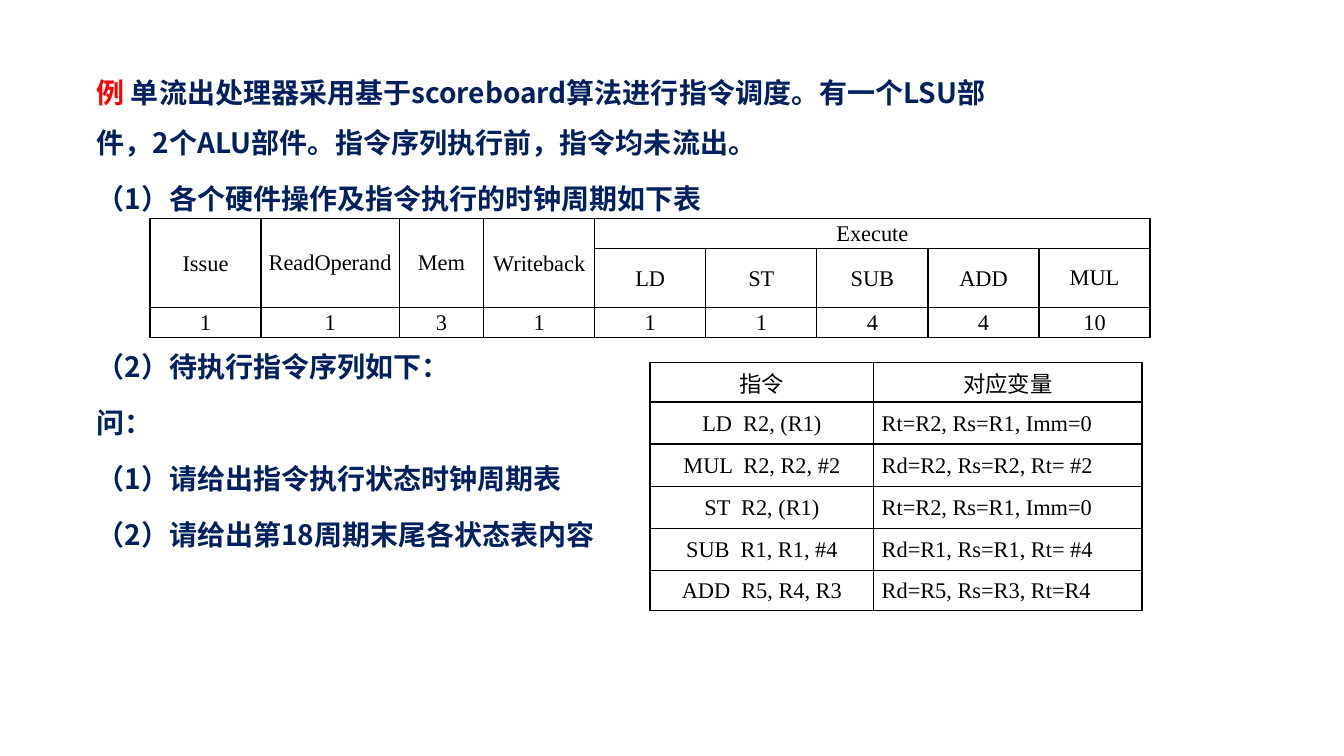
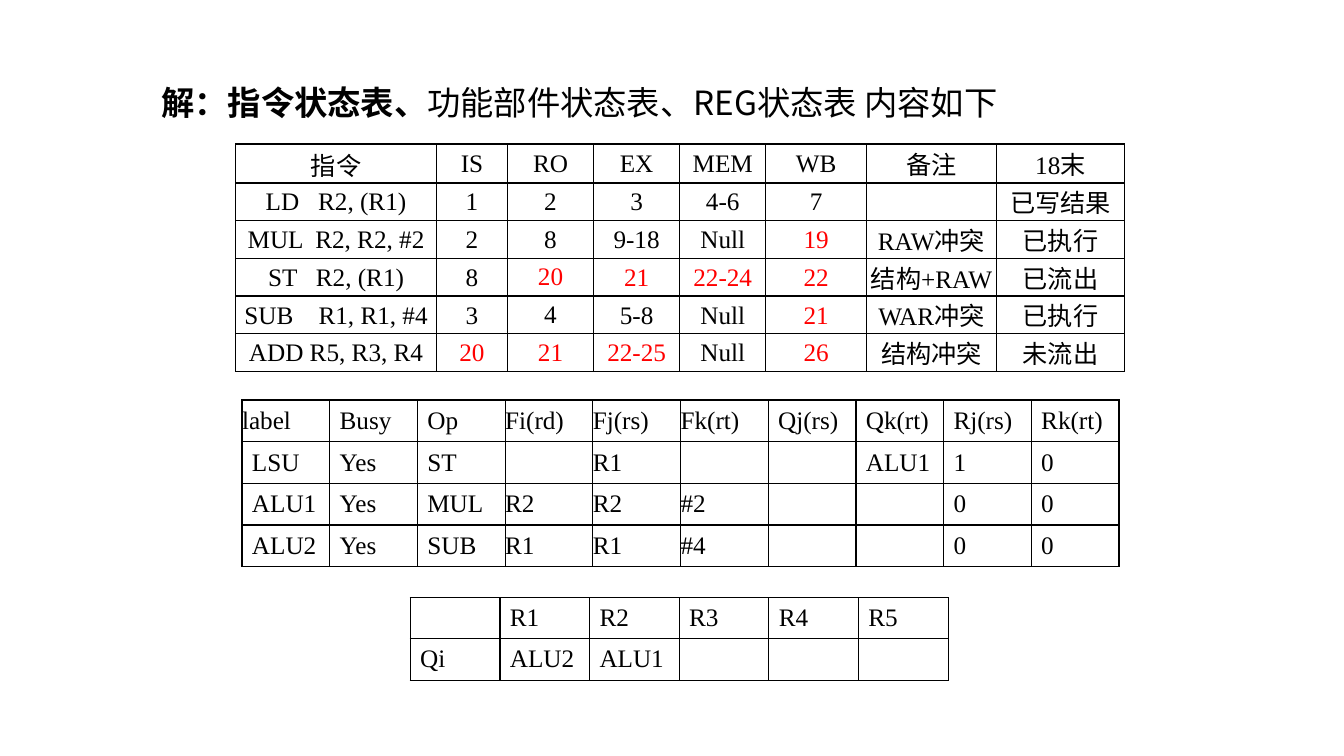
from dataclasses import dataclass

from lxml import etree
from pptx import Presentation
from pptx import util as u
from pptx.dml.color import RGBColor
from pptx.enum import text
from pptx.oxml import ns

# Shared style
CJK_FONT, TABLE_FONT = "Noto Sans CJK SC", "Times New Roman"
BLACK, WHITE, RED, NAVY = "000000", "FFFFFF", "FF0000", "002060"
TIGHT, ROOMY, FLUSH = (0.2, 0.03, 0.2, 0), (0.25, 0.13, 0.25, 0.13), (0, 0, 0, 0)
LAST_CYCLE = 18


@dataclass
class Grid:
    """A ruled table; lengths are centimetres."""
    left: float
    top: float
    columns: list[float]
    rows: list[float]
    cells: list[list[str]]
    size: float = 18
    insets: tuple = TIGHT
    flush_columns: tuple = ()
    flush_cells: tuple = ()
    justified_from: tuple | None = None  # first row and column set justified
    merges: tuple = ()  # (top row, left column, bottom row, right column)
    fill: str | None = None
    mark_late: bool = False  # cycles after LAST_CYCLE in red


def color(value: str) -> RGBColor:
    return RGBColor.from_string(value)


def style_run(run, size: float, fill: str, font: str, bold: bool = False) -> None:
    run.font.size, run.font.bold, run.font.name = u.Pt(size), bold, font
    run.font.color.rgb = color(fill)
    properties = run.font._element
    east_asian = etree.Element(ns.qn("a:ea"), typeface=CJK_FONT)
    properties.find(ns.qn("a:latin")).addnext(east_asian)


def place(shape, left: float, top: float, width: float, height: float) -> None:
    shape.left, shape.top = u.Cm(left), u.Cm(top)
    shape.width, shape.height = u.Cm(width), u.Cm(height)
    frame = shape.text_frame
    frame.word_wrap, frame.auto_size = True, text.MSO_AUTO_SIZE.NONE


def add_borders(cell) -> None:
    properties = cell._tc.get_or_add_tcPr()
    for index, side in enumerate(("lnL", "lnR", "lnT", "lnB")):
        line = etree.Element(ns.qn(f"a:{side}"), w=str(u.Pt(1)))
        fill = etree.SubElement(line, ns.qn("a:solidFill"))
        etree.SubElement(fill, ns.qn("a:srgbClr"), val=BLACK)
        properties.insert(index, line)


def is_late(value: str) -> bool:
    start = value.split("-")[0]
    return start.isdigit() and int(start) > LAST_CYCLE


def fill_cell(cell, grid: Grid, row: int, column: int) -> None:
    value = grid.cells[row][column]
    flush = not value or column in grid.flush_columns or (row, column) in grid.flush_cells
    insets = FLUSH if flush else grid.insets
    cell.margin_left, cell.margin_top, cell.margin_right, cell.margin_bottom = map(u.Cm, insets)
    cell.vertical_anchor = text.MSO_ANCHOR.MIDDLE
    if grid.fill:
        cell.fill.solid()
        cell.fill.fore_color.rgb = color(grid.fill)
    else:
        cell.fill.background()
    add_borders(cell)
    if not value:
        return
    cell.text_frame.text = value
    paragraph = cell.text_frame.paragraphs[0]
    start = grid.justified_from
    justified = start and row >= start[0] and column >= start[1]
    paragraph.alignment = text.PP_ALIGN.JUSTIFY if justified else text.PP_ALIGN.CENTER
    late = grid.mark_late and is_late(value)
    style_run(paragraph.runs[0], grid.size, RED if late else BLACK, TABLE_FONT)


def add_grid(slide, grid: Grid) -> None:
    shape = slide.shapes.add_table(
        len(grid.rows), len(grid.columns), u.Cm(grid.left), u.Cm(grid.top),
        u.Cm(sum(grid.columns)), u.Cm(sum(grid.rows)))
    table = shape.table
    table.first_row = table.horz_banding = False
    for column, width in zip(table.columns, grid.columns):
        column.width = u.Cm(width)
    for row, height in zip(table.rows, grid.rows):
        row.height = u.Cm(height)
    for row in range(len(grid.rows)):
        for column in range(len(grid.columns)):
            fill_cell(table.cell(row, column), grid, row, column)
    for top, left, bottom, right in grid.merges:
        table.cell(top, left).merge(table.cell(bottom, right))


# Problem slide
QUESTION_LEAD = "例 "
QUESTION = [
    "单流出处理器采用基于scoreboard算法进行指令调度。有一个LSU部件，2个ALU部件。指令序列执行前，指令均未流出。",
    "（1）各个硬件操作及指令执行的时钟周期如下表",
    "（2）待执行指令序列如下：",
    "问：",
    "（1）请给出指令执行状态时钟周期表",
    "（2）请给出第18周期末尾各状态表内容",
]
AFTER_TABLE = 2  # paragraph that follows the latency table

LATENCIES = Grid(
    3.78, 5.51, [2.8, 3.48, 2.13] + [2.8] * 6, [0.76, 1.48, 0.76],
    [["Issue", "ReadOperand", "Mem", "Writeback", "Execute", "", "", "", ""],
     ["", "", "", "", "LD", "ST", "SUB", "ADD", "MUL"],
     ["1", "1", "3", "1", "1", "1", "4", "4", "10"]],
    size=16, flush_columns=(1, 2, 8),
    merges=tuple((0, column, 1, column) for column in range(4)) + ((0, 4, 0, 8),))

INSTRUCTIONS = Grid(
    16.38, 9.14, [5.64, 6.76], [0.99] + [1.06] * 4 + [1.02],
    [["指令", "对应变量"],
     ["LD  R2, (R1)", "Rt=R2, Rs=R1, Imm=0"],
     ["MUL  R2, R2, #2", "Rd=R2, Rs=R2, Rt= #2"],
     ["ST  R2, (R1)", "Rt=R2, Rs=R1, Imm=0"],
     ["SUB  R1, R1, #4", "Rd=R1, Rs=R1, Rt= #4"],
     ["ADD  R5, R4, R3", "Rd=R5, Rs=R3, Rt=R4"]],
    size=16, justified_from=(1, 1))

# Solution slide
HEADING = ("解：指令状态表、", "功能部件状态表、REG状态表 内容如下")

INSTRUCTION_STATUS = Grid(
    5.94, 3.63, [5.06, 1.79, 2.17, 2.17, 2.17, 2.54, 3.27, 3.23], [0.98] + [0.95] * 5,
    [["指令", "IS", "RO", "EX", "MEM", "WB", "备注", "18末"],
     ["LD   R2, (R1)", "1", "2", "3", "4-6", "7", "", "已写结果"],
     ["MUL  R2, R2, #2", "2", "8", "9-18", "Null", "19", "RAW冲突", "已执行"],
     ["ST   R2, (R1)", "8", "20", "21", "22-24", "22", "结构+RAW", "已流出"],
     ["SUB    R1, R1, #4", "3", "4", "5-8", "Null", "21", "WAR冲突", "已执行"],
     ["ADD R5, R3, R4", "20", "21", "22-25", "Null", "26", "结构冲突", "未流出"]],
    flush_columns=(2, 6, 7), fill=WHITE, mark_late=True)

UNIT_STATUS = Grid(
    6.1, 10.08, [2.21] * 10, [1.05] * 4,
    [["label", "Busy", "Op", "Fi(rd)", "Fj(rs)", "Fk(rt)", "Qj(rs)", "Qk(rt)", "Rj(rs)", "Rk(rt)"],
     ["LSU", "Yes", "ST", "", "R1", "", "", "ALU1", "1", "0"],
     ["ALU1", "Yes", "MUL", "R2", "R2", "#2", "", "", "0", "0"],
     ["ALU2", "Yes", "SUB", "R1", "R1", "#4", "", "", "0", "0"]],
    insets=ROOMY, flush_columns=(3, 4, 5), flush_cells=((0, 0),), justified_from=(0, 0))

REGISTER_STATUS = Grid(
    10.34, 15.06, [2.26] * 6, [1.02, 1.06],
    [["", "R1", "R2", "R3", "R4", "R5"],
     ["Qi", "ALU2", "ALU1", "", "", ""]],
    insets=ROOMY, justified_from=(0, 0))


def format_question(paragraph, index: int) -> None:
    properties = paragraph._p.get_or_add_pPr()
    indent = u.Cm(1.27) if index else 0
    properties.set("marL", str(indent))
    properties.set("indent", str(-indent))
    etree.SubElement(properties, ns.qn("a:buNone"))
    paragraph.line_spacing = u.Pt(35.7)
    # Leave room for the latency table
    gap = 84.3 if index == AFTER_TABLE else 4.3
    paragraph.space_before = u.Pt(gap if index else 0)


def build_problem(presentation) -> None:
    slide = presentation.slides.add_slide(presentation.slide_layouts[1])
    title = slide.shapes.title._element
    title.getparent().remove(title)
    body = slide.placeholders[1]
    place(body, 2.18, 1.37, 23.2, 14.7)
    frame = body.text_frame
    for index, line in enumerate(QUESTION):
        paragraph = frame.add_paragraph() if index else frame.paragraphs[0]
        format_question(paragraph, index)
        if index == 0:
            paragraph.text = QUESTION_LEAD
            paragraph.add_run().text = line
        else:
            paragraph.text = line
        for run in paragraph.runs:
            style_run(run, 20, RED if run.text == QUESTION_LEAD else NAVY, CJK_FONT, bold=True)
    add_grid(slide, LATENCIES)
    add_grid(slide, INSTRUCTIONS)


def build_solution(presentation) -> None:
    slide = presentation.slides.add_slide(presentation.slide_layouts[5])
    title = slide.shapes.title
    place(title, 3.81, 1.6, 23.3, 1.96)
    title.text_frame.vertical_anchor = text.MSO_ANCHOR.MIDDLE
    paragraph = title.text_frame.paragraphs[0]
    paragraph.alignment = text.PP_ALIGN.LEFT
    paragraph.text = HEADING[0]
    paragraph.add_run().text = HEADING[1]
    for run in paragraph.runs:
        style_run(run, 23.8, BLACK, CJK_FONT, bold=run.text == HEADING[0])
    for grid in (INSTRUCTION_STATUS, UNIT_STATUS, REGISTER_STATUS):
        add_grid(slide, grid)


def main() -> None:
    presentation = Presentation()
    presentation.slide_width, presentation.slide_height = u.Cm(33.87), u.Cm(19.05)
    build_problem(presentation)
    build_solution(presentation)
    presentation.save("out.pptx")


if __name__ == "__main__":
    main()
